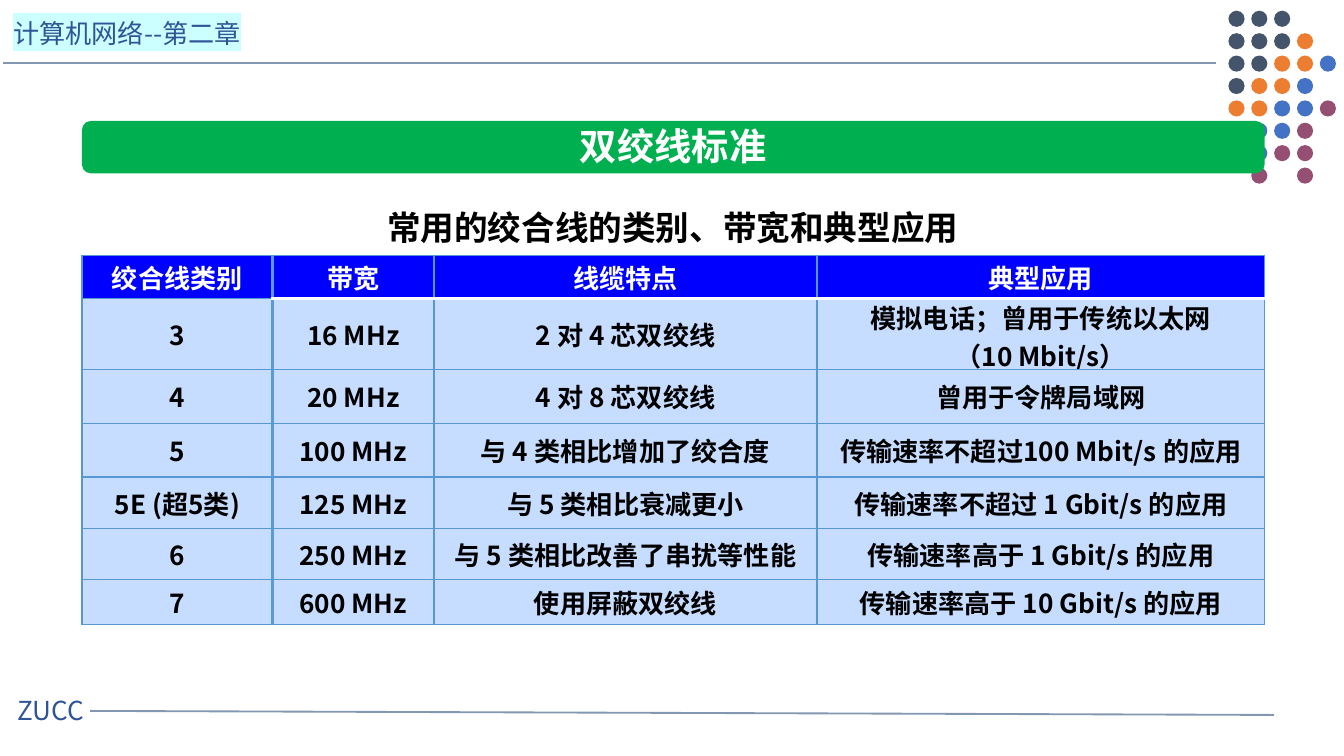
from lxml.etree import SubElement
from pptx import Presentation
from pptx.dml.color import RGBColor
from pptx.enum.shapes import MSO_CONNECTOR, MSO_SHAPE
from pptx.enum.text import MSO_ANCHOR, PP_ALIGN
from pptx.oxml.ns import qn
from pptx.util import Inches, Pt

FONT = "Noto Sans CJK SC"
GRID = "5698D3"
DOTS = ["NNN", "NNNO", "NNOOB", "NOOB", "OOBBP", "OBBP", " BPP", " P P"]
TINTS = {"N": "44546A", "O": "ED7D31", "B": "4472C4", "P": "954F72"}
COLS = [1.42, 1.2, 2.85, 3.33]
ROWS = [0.32, 0.53, 0.4, 0.4, 0.38, 0.38, 0.34]
CELLS = [
    ["绞合线类别", "带宽", "线缆特点", "典型应用"],
    ["3", "16 MHz", "2 对 4 芯双绞线", "模拟电话；曾用于传统以太网\n（10 Mbit/s）"],
    ["4", "20 MHz", "4 对 8 芯双绞线", "曾用于令牌局域网"],
    ["5", "100 MHz", "与 4 类相比增加了绞合度", "传输速率不超过100 Mbit/s 的应用"],
    ["5E (超5类)", "125 MHz", "与 5 类相比衰减更小", "传输速率不超过 1 Gbit/s 的应用"],
    ["6", "250 MHz", "与 5 类相比改善了串扰等性能", "传输速率高于 1 Gbit/s 的应用"],
    ["7", "600 MHz", "使用屏蔽双绞线", "传输速率高于 10 Gbit/s 的应用"],
]


def color(code):
    return RGBColor.from_string(code)


def style(frame, size, code, bold=False, align=PP_ALIGN.LEFT):
    for para in frame.paragraphs:
        para.alignment = align
        for run in para.runs:
            run.font.size = Pt(size)
            run.font.bold = bold
            run.font.name = FONT
            run.font.color.rgb = color(code)
            latin = run.font._element.find(qn("a:latin"))
            east = SubElement(run.font._element, qn("a:ea"), typeface=FONT)
            latin.addnext(east)


def add_text(slide, text, box, size, code, bold=False, align=PP_ALIGN.LEFT, wrap=True):
    shape = slide.shapes.add_textbox(*map(Inches, box))
    frame = shape.text_frame
    frame.word_wrap = wrap
    frame.text = text
    style(frame, size, code, bold, align)
    return frame


def mark(frame, code):
    for run in frame.paragraphs[0].runs:
        props = run.font._element
        light = SubElement(props, qn("a:highlight"))
        SubElement(light, qn("a:srgbClr"), val=code)
        props.find(qn("a:solidFill")).addnext(light)


def add_line(slide, ends):
    line = slide.shapes.add_connector(MSO_CONNECTOR.STRAIGHT, *map(Inches, ends))
    line.line.color.rgb = color("8497B0")
    line.line.width = Pt(1)
    SubElement(line._element.spPr, qn("a:effectLst"))


def add_shape(slide, kind, box, code):
    shape = slide.shapes.add_shape(kind, *map(Inches, box))
    shape.shadow.inherit = False
    shape.fill.solid()
    shape.fill.fore_color.rgb = color(code)
    shape.line.fill.background()
    return shape


def add_dots(slide):
    for row, marks in enumerate(DOTS):
        for col, key in enumerate(marks):
            if key in TINTS:
                box = (9.14 + 0.17 * col, 0.08 + row / 6, 0.12, 0.12)
                add_shape(slide, MSO_SHAPE.OVAL, box, TINTS[key])


def add_edge(cell, side, code, width):
    edge = SubElement(cell._tc.get_or_add_tcPr(), qn("a:ln" + side), w=str(Pt(width)))
    fill = SubElement(edge, qn("a:solidFill"))
    SubElement(fill, qn("a:srgbClr"), val=code)


def edges(row, col):
    thin, thick, white = (GRID, 0.75), ("5B9BD5", 2), ("FFFFFF", 2)
    return {
        "L": thick if col == 1 else thin,
        "R": thick if col == 0 else thin,
        "T": white if row == 1 and col else thin,
        "B": white if row == 0 and col else thin,
    }


def add_grid(slide):
    box = (0.61, 1.9, sum(COLS), sum(ROWS))
    table = slide.shapes.add_table(len(ROWS), len(COLS), *map(Inches, box)).table
    table.horz_banding = False
    for col, width in enumerate(COLS):
        table.columns[col].width = Inches(width)
    for row, height in enumerate(ROWS):
        table.rows[row].height = Inches(height)
        for col, text in enumerate(CELLS[row]):
            cell = table.cell(row, col)
            cell.margin_left = cell.margin_right = Inches(0.03)
            cell.margin_top = cell.margin_bottom = 0
            cell.vertical_anchor = MSO_ANCHOR.MIDDLE
            for side, (code, width) in edges(row, col).items():
                add_edge(cell, side, code, width)
            cell.fill.solid()
            cell.fill.fore_color.rgb = color("C7DDFF" if row else "0000FF")
            cell.text_frame.text = text
            ink = "000000" if row else "FFFFFF"
            style(cell.text_frame, 14, ink, True, PP_ALIGN.CENTER)


def main():
    deck = Presentation()
    deck.slide_width = Inches(10)
    deck.slide_height = Inches(10) * 9 // 16
    slide = deck.slides.add_slide(deck.slide_layouts[6])
    add_line(slide, (0.02, 0.47, 9.05, 0.47))
    add_line(slide, (0.67, 5.29, 9.48, 5.32))
    add_text(slide, "ZUCC", (0.03, 5.12, 0.89, 0.34), 14, "2F5597")
    head = add_text(slide, "计算机网络--第二章", (0, 0.08, 2.16, 0.34), 14, "2F5597")
    mark(head, "CCFFFF")
    add_dots(slide)
    bar = add_shape(slide, MSO_SHAPE.ROUNDED_RECTANGLE, (0.61, 0.9, 8.8, 0.39), "00B050")
    bar.adjustments[0] = 0.17
    add_text(slide, "双绞线标准", (4.21, 0.87, 1.6, 0.44), 20, "FFFFFF",
             True, PP_ALIGN.CENTER, False)
    add_grid(slide)
    add_text(slide, "常用的绞合线的类别、带宽和典型应用", (2.76, 1.49, 4.49, 0.4), 18, "000000",
             True, PP_ALIGN.CENTER, False)
    deck.save("out.pptx")


if __name__ == "__main__":
    main()
